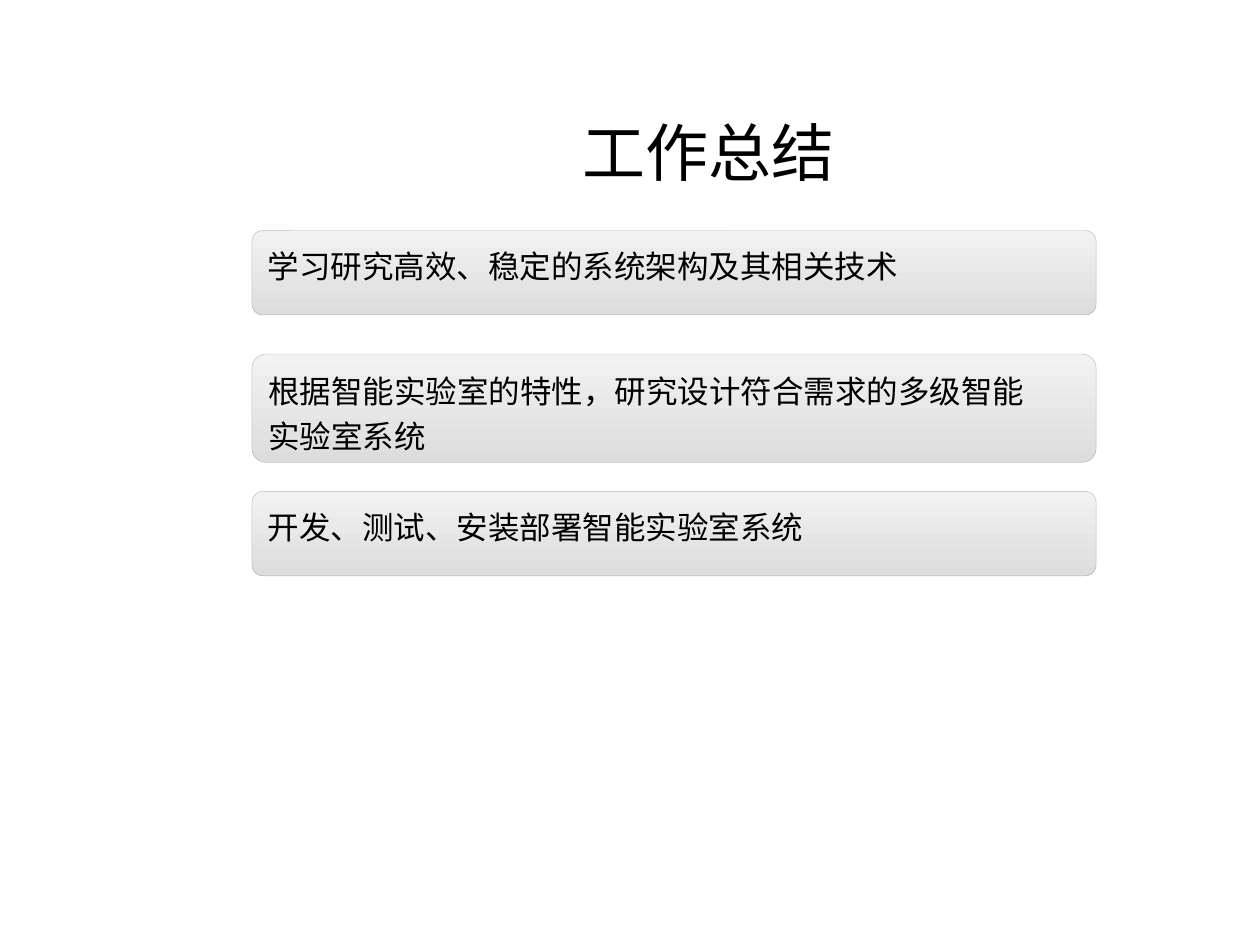
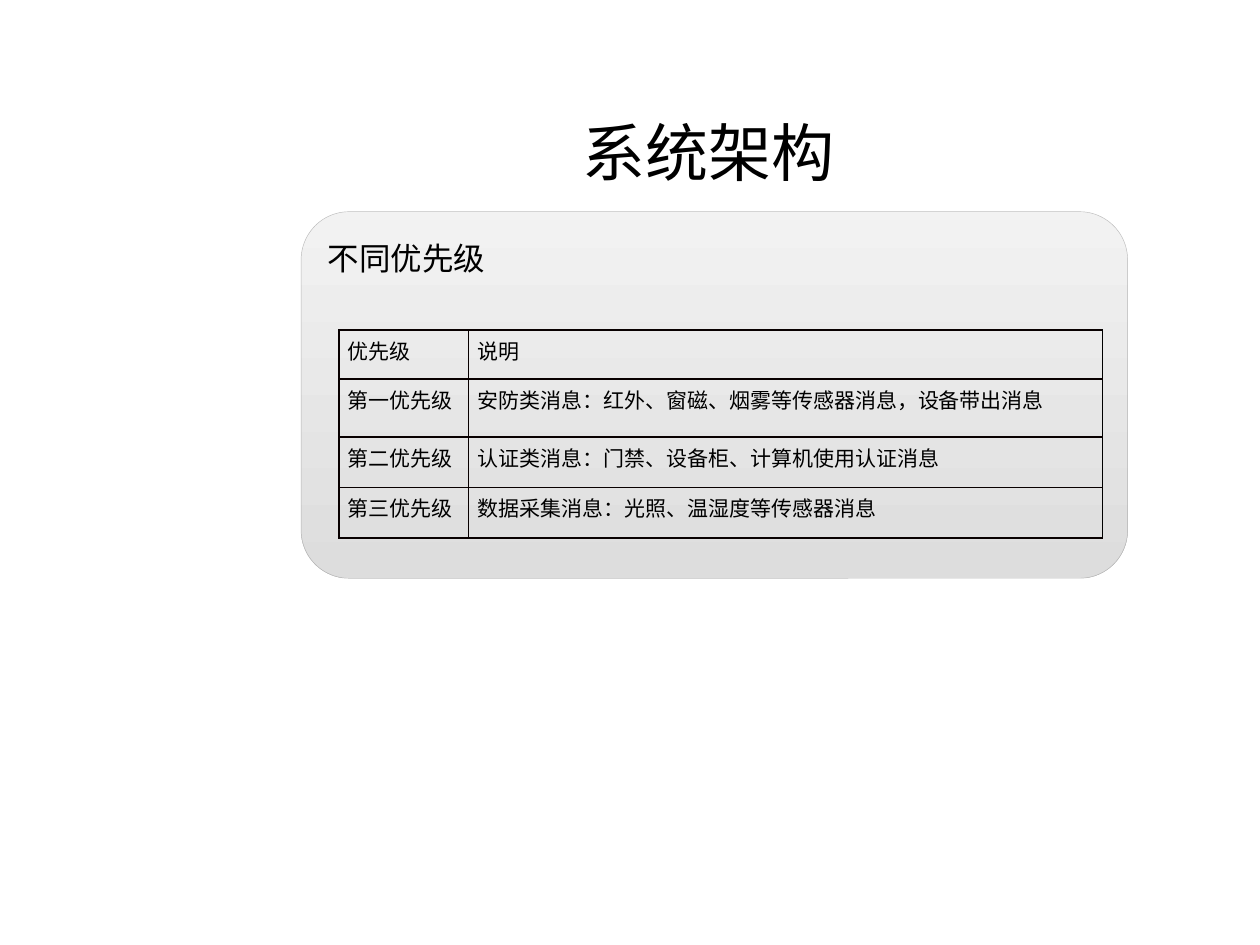
"""Build two slides: a work summary and a table of message priorities."""
from lxml import etree
from pptx import Presentation, util as u
from pptx.dml.color import RGBColor
from pptx.enum import shapes, text
from pptx.oxml.ns import qn

FONT, CJK = "Arial", "Noto Sans CJK SC"
TITLE = (1.5, 0.58, 8.25, 1.25)
SUMMARY = "工作总结", [
    ((2, 1.83, 6.7, 0.67), "学习研究高效、稳定的系统架构及其相关技术"),
    ((2, 2.81, 6.7, 0.86), "根据智能实验室的特性，研究设计符合需求的多级智能\n实验室系统"),
    ((2, 3.9, 6.7, 0.67), "开发、测试、安装部署智能实验室系统"),
]
SYSTEM = "系统架构", [((2.39, 1.68, 6.56, 2.91), "不同优先级")]
LEVELS = [
    ("优先级", "说明"),
    ("第一优先级", "安防类消息：红外、窗磁、烟雾等传感器消息，设备带出消息"),
    ("第二优先级", "认证类消息：门禁、设备柜、计算机使用认证消息"),
    ("第三优先级", "数据采集消息：光照、温湿度等传感器消息"),
]
GRID, COLS, ROWS = (2.69, 2.62), (1.03, 5.03), (0.39, 0.46, 0.4, 0.4)
EDGE, RIM = ("080000", 1), ("000000", 0.75)
PAD = dict(margin_left=0.07, margin_right=0.07, margin_top=0.04, margin_bottom=0.04)


def color(code):
    """Turn a hex string into a colour."""
    return RGBColor.from_string(code)


def inches(nums):
    """Turn numbers into lengths."""
    return [u.Inches(n) for n in nums]


def assign(item, values):
    """Set every attribute named in a dict."""
    for name, value in values.items():
        setattr(item, name, value)


def style(frame, size, font=FONT, **look):
    """Format all paragraphs and runs of a text frame."""
    for para in frame.paragraphs:
        assign(para, look)
        for run in para.runs:
            assign(run.font, dict(name=font, size=u.Pt(size)))
            run.font.color.rgb = color("000000")
            etree.SubElement(run.font._element, qn("a:ea"), typeface=CJK)


def add_card(slide, box, words):
    """Add a rounded grey card with its text at the top."""
    card = slide.shapes.add_shape(shapes.MSO_SHAPE.ROUNDED_RECTANGLE, *inches(box))
    card.adjustments[0] = 0.131
    card.shadow.inherit = False
    card.fill.gradient()
    card.fill.gradient_angle = 270
    for stop, code in zip(card.fill.gradient_stops, ("F2F2F2", "DDDDDD")):
        stop.color.rgb = color(code)
    card.line.color.rgb = color("969696")
    card.line.width = u.Pt(0.25)
    tint = card.line._ln.find(".//" + qn("a:srgbClr"))
    etree.SubElement(tint, qn("a:alpha"), val="61000")
    frame = card.text_frame
    assign(frame, dict(text=words, word_wrap=True, vertical_anchor=text.MSO_ANCHOR.TOP))
    style(frame, 18, line_spacing=1.2, alignment=text.PP_ALIGN.LEFT)


def add_edge(cell, side, code, width):
    """Draw one border of a table cell."""
    line = etree.SubElement(cell._tc.get_or_add_tcPr(), qn("a:ln" + side),
                            w=str(u.Pt(width)))
    fill = etree.SubElement(line, qn("a:solidFill"))
    etree.SubElement(fill, qn("a:srgbClr"), val=code)


def add_grid(slide):
    """Add the priority table."""
    size = inches((sum(COLS), sum(ROWS)))
    table = slide.shapes.add_table(len(ROWS), len(COLS), *inches(GRID), *size).table
    assign(table, dict(first_row=False, horz_banding=False))
    for col, width in zip(table.columns, COLS):
        col.width = u.Inches(width)
    for row, height, words in zip(table.rows, ROWS, LEVELS):
        row.height = u.Inches(height)
        for spot, (cell, word) in enumerate(zip(row.cells, words)):
            last = spot == len(COLS) - 1
            for side in "LRTB":
                add_edge(cell, side, *(RIM if last and side == "R" else EDGE))
            cell.fill.background()
            assign(cell, {name: u.Inches(gap) for name, gap in PAD.items()})
            cell.text = word
            style(cell.text_frame, 12, CJK)


def add_slide(deck, title, cards):
    """Add a titled slide with its cards."""
    slide = deck.slides.add_slide(deck.slide_layouts[5])
    head = slide.shapes.title
    assign(head, dict(zip(("left", "top", "width", "height"), inches(TITLE))))
    assign(head.text_frame, dict(text=title, vertical_anchor=text.MSO_ANCHOR.MIDDLE))
    style(head.text_frame, 36, alignment=text.PP_ALIGN.CENTER)
    for box, words in cards:
        add_card(slide, box, words)
    return slide


def main():
    """Build and save the deck."""
    deck = Presentation()
    assign(deck, dict(slide_width=u.Inches(10), slide_height=u.Inches(7.5)))
    add_slide(deck, *SUMMARY)
    add_grid(add_slide(deck, *SYSTEM))
    deck.save("out.pptx")


if __name__ == "__main__":
    main()
